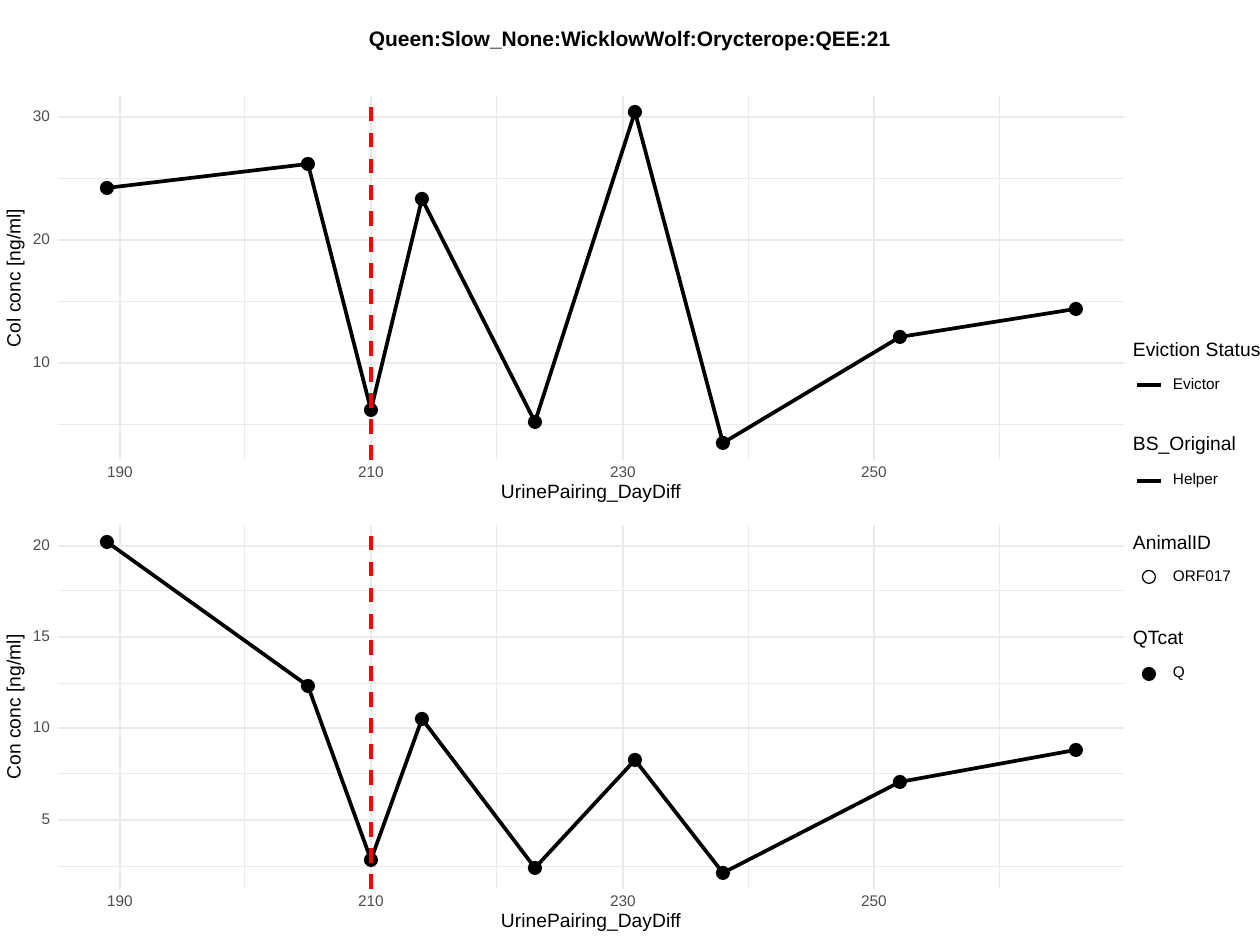
from collections import namedtuple

from lxml import etree
from pptx import Presentation, util as u
from pptx.dml.color import RGBColor
from pptx.enum import dml, shapes, text
from pptx.oxml.ns import qn

SCALE = 914400 // 126
FONT = "Arial"
BLACK = RGBColor(0x00, 0x00, 0x00)
WHITE = RGBColor(0xFF, 0xFF, 0xFF)
GRID = RGBColor(0xEB, 0xEB, 0xEB)
TICK = RGBColor(0x4D, 0x4D, 0x4D)
RED = RGBColor(0xFF, 0x00, 0x00)

THIN, MEDIUM, THICK, OUTLINE = 0.53, 1.07, 2.13, 0.71
SMALL, NORMAL, LARGE = 8.8, 11, 12
LEFT, RIGHT, PANEL_HEIGHT, DOT = 58, 1124, 364, 13
LEGEND_LEFT, ENTRY_LEFT, KEY_CENTER = 1133, 1173, 1149
HEADING_WIDTH, ENTRY_WIDTH, TICK_WIDTH, AXIS_WIDTH = 132, 80, 32, 190

DAYS = [189, 205, 210, 214, 223, 231, 238, 252, 266]
DAY_MAJOR = [190, 210, 230, 250]
DAY_MINOR = [200, 220, 240, 260]
EVENT_DAY = 210

# base_y is where the value 10 falls; unit is the height of one ng/ml
Panel = namedtuple("Panel", "title top base_y unit major minor values")
PANELS = [
    Panel("Col conc [ng/ml]", 96, 363, 12.3, [10, 20, 30], [5, 15, 25],
          [24.2, 26.2, 6.2, 23.3, 5.2, 30.4, 3.5, 12.1, 14.4]),
    Panel("Con conc [ng/ml]", 525, 728.5, 18.3, [5, 10, 15, 20],
          [2.5, 7.5, 12.5, 17.5],
          [20.2, 12.3, 2.8, 10.5, 2.4, 8.3, 2.1, 7.1, 8.8]),
]

# heading and its centre; entry and its centre; key and its centre
LEGEND = [
    ("Eviction Status", 351, "Evictor", 385, "line", 385),
    ("BS_Original", 445, "Helper", 480, "line", 481),
    ("AnimalID", 544, "ORF017", 577, "ring", 577),
    ("QTcat", 639, "Q", 673, "dot", 674),
]


def px(length):
    return u.Emu(round(length * SCALE))


def day_x(day):
    return round(371.2 + (day - EVENT_DAY) * 12.58)


def value_y(panel, value):
    return round(panel.base_y - (value - 10) * panel.unit)


def add_label(page, words, left, center_y, width, size, color=BLACK,
              align=text.PP_ALIGN.LEFT, bold=False, rotation=0):
    height = 16
    box = page.shapes.add_textbox(px(left), px(center_y - height / 2),
                                  px(width), px(height))
    box.rotation = rotation
    frame = box.text_frame
    frame.word_wrap = True
    frame.vertical_anchor = text.MSO_ANCHOR.MIDDLE
    frame.margin_left = frame.margin_right = 0
    frame.margin_top = frame.margin_bottom = 0
    para = frame.paragraphs[0]
    para.alignment = align
    para.line_spacing = u.Pt(size)
    span = para.add_run()
    span.text = words
    span.font.name = FONT
    span.font.size = u.Pt(size)
    span.font.bold = bold
    span.font.color.rgb = color


def add_centered(page, words, center_x, center_y, width, size, **style):
    add_label(page, words, center_x - width / 2, center_y, width, size,
              align=text.PP_ALIGN.CENTER, **style)


def add_line(page, x1, y1, x2, y2, color, weight, dashed=False):
    line = page.shapes.add_connector(shapes.MSO_CONNECTOR.STRAIGHT,
                                     px(x1), px(y1), px(x2), px(y2))
    line.line.color.rgb = color
    line.line.width = u.Pt(weight)
    if dashed:
        line.line.dash_style = dml.MSO_LINE.DASH
    etree.SubElement(line._element.spPr, qn("a:effectLst"))


def add_marker(page, x, y, filled=True):
    marker = page.shapes.add_shape(shapes.MSO_SHAPE.OVAL, px(x - DOT / 2),
                                   px(y - DOT / 2), px(DOT), px(DOT))
    marker.shadow.inherit = False
    if filled:
        marker.fill.solid()
        marker.fill.fore_color.rgb = BLACK
    else:
        marker.fill.background()
    marker.line.color.rgb = BLACK
    marker.line.width = u.Pt(OUTLINE)


def add_series(page, points):
    corners = [(px(x), px(y)) for x, y in points]
    builder = page.shapes.build_freeform(*corners[0])
    builder.add_line_segments(corners[1:], close=False)
    series = builder.convert_to_shape()
    series.shadow.inherit = False
    series.fill.background()
    series.line.color.rgb = BLACK
    series.line.width = u.Pt(THICK)
    for x, y in points:
        add_marker(page, x, y)


def add_grid(page, panel, values, days, weight):
    for value in values:
        y = value_y(panel, value)
        add_line(page, LEFT, y, RIGHT, y, GRID, weight)
    for day in days:
        x = day_x(day)
        add_line(page, x, panel.top + PANEL_HEIGHT, x, panel.top, GRID, weight)


def add_panel(page, panel):
    bottom = panel.top + PANEL_HEIGHT
    add_grid(page, panel, panel.minor, DAY_MINOR, THIN)
    add_grid(page, panel, panel.major, DAY_MAJOR, MEDIUM)
    add_series(page, [(day_x(day), value_y(panel, value))
                      for day, value in zip(DAYS, panel.values)])
    event_x = day_x(EVENT_DAY)
    add_line(page, event_x, bottom, event_x, panel.top, RED, THICK, dashed=True)

    for value in panel.major:
        add_label(page, str(value), 50 - TICK_WIDTH, value_y(panel, value),
                  TICK_WIDTH, SMALL, TICK, text.PP_ALIGN.RIGHT)
    for day in DAY_MAJOR:
        add_centered(page, str(day), day_x(day), bottom + 13, TICK_WIDTH, SMALL,
                     color=TICK)
    add_centered(page, "UrinePairing_DayDiff", (LEFT + RIGHT) / 2, bottom + 33,
                 AXIS_WIDTH, NORMAL)
    add_centered(page, panel.title, 15, panel.top + PANEL_HEIGHT / 2,
                 AXIS_WIDTH, NORMAL, rotation=270)


def add_legend(page):
    for heading, heading_y, entry, entry_y, key, key_y in LEGEND:
        add_label(page, heading, LEGEND_LEFT, heading_y, HEADING_WIDTH, NORMAL)
        if key == "line":
            add_line(page, KEY_CENTER - 12, key_y, KEY_CENTER + 12, key_y,
                     BLACK, THICK)
        else:
            add_marker(page, KEY_CENTER, key_y, filled=key == "dot")
        add_label(page, entry, ENTRY_LEFT, entry_y, ENTRY_WIDTH, SMALL)


def add_backdrop(page, width, height):
    backdrop = page.shapes.add_shape(shapes.MSO_SHAPE.RECTANGLE, 0, 0, width, height)
    backdrop.shadow.inherit = False
    backdrop.fill.solid()
    backdrop.fill.fore_color.rgb = WHITE
    backdrop.line.color.rgb = WHITE
    backdrop.line.width = u.Pt(0.75)


def main():
    deck = Presentation()
    deck.slide_width, deck.slide_height = u.Inches(10), u.Inches(7.5)
    page = deck.slides.add_slide(deck.slide_layouts[6])
    add_backdrop(page, deck.slide_width, deck.slide_height)
    add_centered(page, "Queen:Slow_None:WicklowWolf:Orycterope:QEE:21",
                 630, 40, 540, LARGE, bold=True)
    for panel in PANELS:
        add_panel(page, panel)
    add_legend(page)
    deck.save("out.pptx")


if __name__ == "__main__":
    main()
